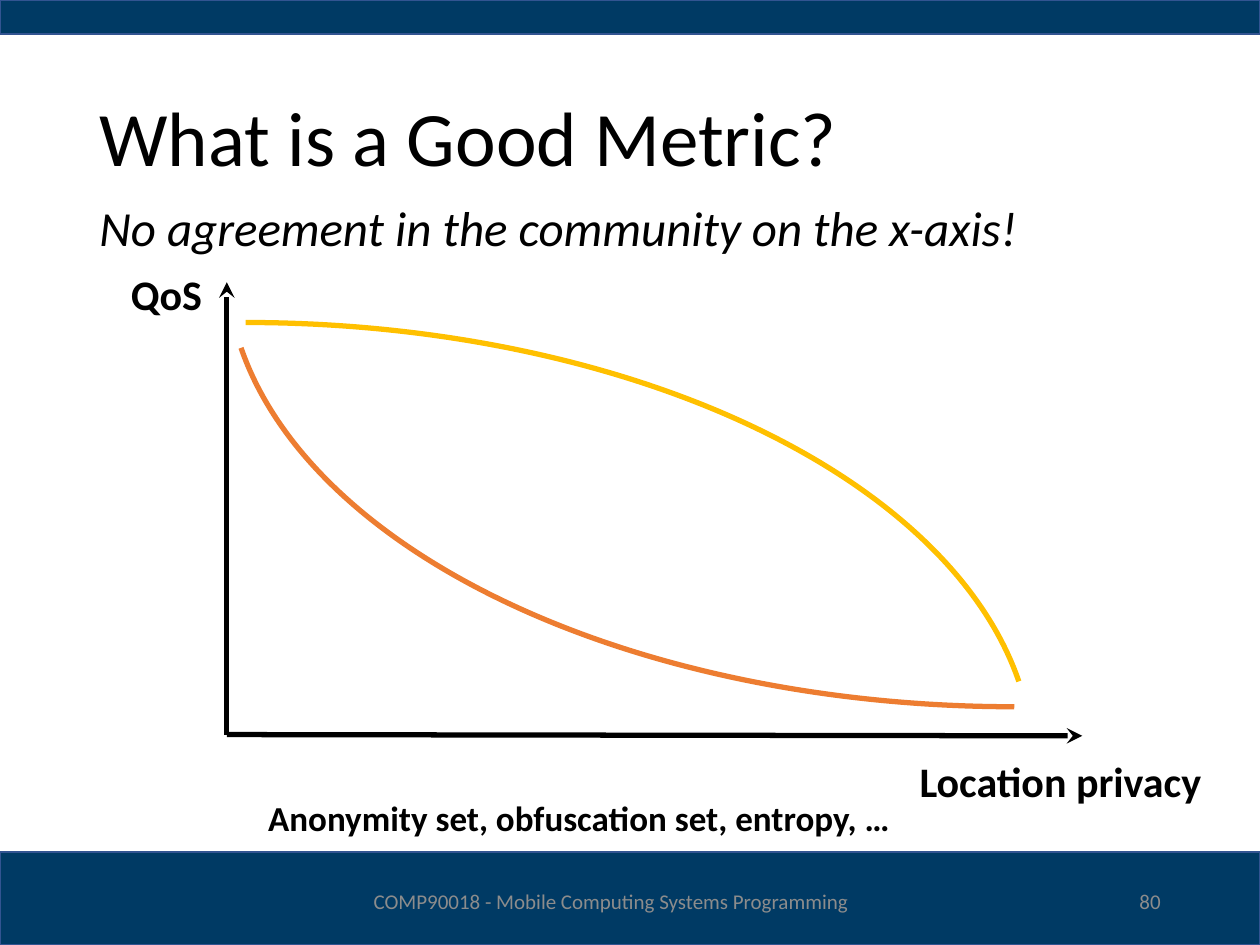
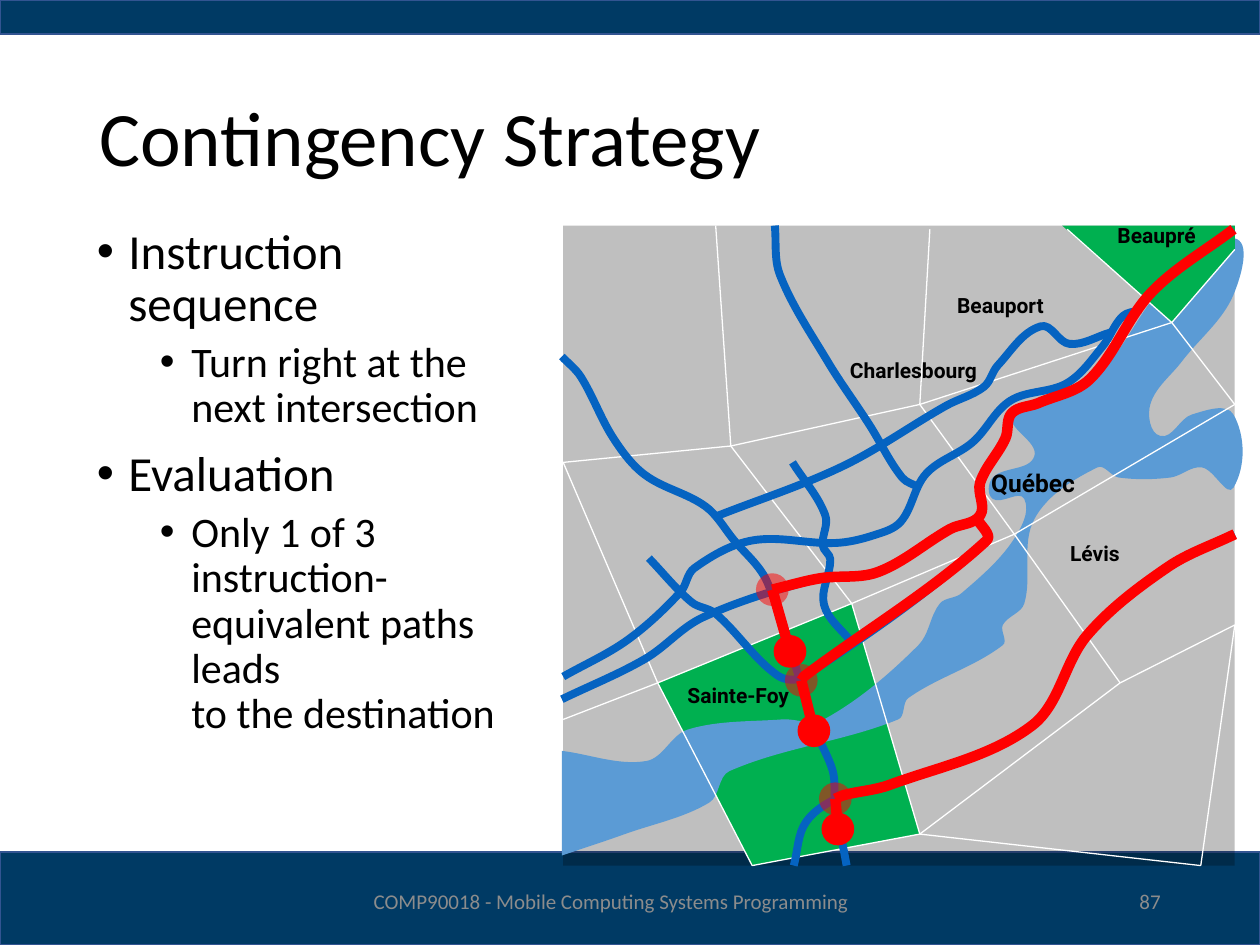
"""Build two lecture slides: a privacy trade-off plot and a road map."""
from dataclasses import dataclass
from math import dist

from lxml.etree import SubElement as Sub
from pptx import Presentation
from pptx.dml.color import RGBColor as RGB
from pptx.enum.shapes import MSO_CONNECTOR as Link, MSO_SHAPE as Kind
from pptx.enum.text import MSO_ANCHOR as Anchor, PP_ALIGN as Align
from pptx.oxml.ns import qn
from pptx.util import Inches, Pt


@dataclass(frozen=True)
class Theme:
    """Colours, fonts and type sizes."""
    navy: str = "003A64"
    edge: str = "325491"
    black: str = "000000"
    white: str = "FFFFFF"
    gray: str = "8C8C8C"
    gold: str = "FFC000"
    orange: str = "ED7D31"
    green: str = "00B050"
    water: str = "5B9BD5"
    road: str = "0563C1"
    red: str = "FF0000"
    font: str = "Calibri"
    map_font: str = "Roboto"
    title: int = 44
    body: int = 28
    sub: int = 24
    note: int = 20
    city: int = 14
    small: int = 12


T = Theme()
COURSE = "COMP90018 - Mobile Computing Systems Programming"

NODES = {
    "A": (8.05, 4.24), "B": (7.3, 3.21), "C": (5.22, 5.42), "D": (5.97, 6.87),
    "E": (6.76, 4.79), "F": (7.3, 6.62), "G": (9.53, 6.87), "H": (8.89, 5.42),
    "I": (5.8, 3.54), "J": (9.3, 2.56), "K": (4.47, 5.71), "L": (4.47, 3.67),
    "M": (9.8, 4.96), "N": (9.8, 3.21), "P": (5.68, 1.79), "Q": (7.38, 1.82),
    "R": (8.47, 1.82), "S": (9.8, 1.98),
}
EDGES = "AB DC CK LC CE EF FD FG GM AH FH HM EA AN EI LI IP IB BQ BJ JR JN JS"

RIVER = (
    (4.46, 6.79), (4.96, 6.62), (5.63, 6.37), (5.79, 6.12), (7.13, 5.71), (7.21, 5.54),
    (7.96, 5.12), (7.96, 4.96), (8.13, 4.79), (8.21, 4.12), (8.71, 3.71), (8.88, 3.79),
    (9.29, 3.79), (9.54, 3.71), (9.79, 3.87), (9.79, 3.29), (9.46, 3.29), (9.21, 3.46),
    (9.13, 3.21), (9.38, 2.87), (9.79, 2.34), (9.79, 1.89), (9.24, 2.27), (8.83, 2.84),
    (8.54, 3.12), (8.04, 3.29), (8.21, 3.62), (7.88, 3.79), (7.88, 3.96), (8.13, 3.96),
    (8.04, 4.29), (7.63, 4.71), (7.46, 4.79), (7.29, 5.12), (6.54, 5.71), (6.21, 5.71),
    (5.46, 5.79), (5.13, 6.04), (4.46, 5.96))
COAST = ((6.51, 4.59), (6.97, 4.54), (7.54, 4.2), (7.78, 4.09), (7.78, 3.83), (7.98, 3.48),
         (8.03, 3.28), (8.24, 3.2), (8.65, 3.01), (9.14, 2.32), (9.79, 1.82))
SOUTH = ((6.7, 6.31), (7.06, 6.23), (8.19, 5.76), (8.63, 5.04), (9.27, 4.5), (9.8, 4.24))
MID = ((6.38, 5.37), (7.83, 4.29), (7.75, 4.11))
ROADS = (
    ((4.46, 2.83), (4.61, 2.99), (4.87, 3.48), (5.12, 3.77), (5.6, 4.02), (5.82, 4.28),
     (6.09, 4.62), (6.47, 5.79), (6.61, 6.12), (6.63, 6.37), (6.72, 6.87)),
    ((6.3, 6.87), (6.4, 6.52)) + SOUTH,
    ((4.46, 5.55), (5.12, 5.23), (5.58, 4.9)) + COAST,
    ((5.68, 4.1), (6.69, 3.7), (7.51, 3.22), (7.81, 3.07), (7.92, 2.9), (8.26, 2.59),
     (8.49, 2.73), (8.81, 2.64)),
    ((6.15, 1.79), (6.19, 2.18), (6.57, 2.87), (6.9, 3.37), (7.16, 3.79), (7.3, 3.87)),
    ((5.15, 4.43), (5.49, 4.78), (5.68, 4.87), (6.17, 5.36)) + MID,
    ((4.47, 5.37), (4.98, 5.08), (5.4, 4.7), (5.51, 4.51), (5.97, 4.29), (6.63, 4.31),
     (6.93, 4.25), (7.15, 4.14), (7.35, 3.76), (7.72, 3.51), (8.02, 3.18), (8.47, 3.04),
     (8.75, 2.75), (8.91, 2.51), (9.05, 2.46)),
    ((6.29, 3.67), (6.55, 4.09), (6.53, 4.33), (6.59, 4.44), (6.54, 4.8), (6.76, 5.1)),
)
PLACES = {
    "Charlesbourg": (7.25, 2.94), "Beauport": (7.94, 2.42), "Sainte-Foy": (5.86, 5.52),
    "Lévis": (8.69, 4.39), "Québec": (8.2, 3.83), "Beaupré": (9.18, 1.87),
}
TRIPS = (((6.13, 4.68), (6.27, 5.17), COAST), ((6.36, 5.4), (6.46, 5.8), MID),
         ((6.63, 6.34), (6.65, 6.58), SOUTH))


def paint(shape, fill=None, line=None, width=1, alpha=100):
    """Set fill, outline and opacity, and drop the shadow."""
    shape.shadow.inherit = False
    if fill:
        shape.fill.solid()
        shape.fill.fore_color.rgb = RGB.from_string(fill)
        if alpha < 100:
            tint = shape._element.spPr.find(".//" + qn("a:srgbClr"))
            Sub(tint, qn("a:alpha"), val=str(alpha * 1000))
    else:
        shape.fill.background()
    if line:
        shape.line.color.rgb = RGB.from_string(line)
        shape.line.width = Pt(width)
    else:
        shape.line.fill.background()


def block(slide, kind, box, **look):
    """Add a painted preset shape."""
    shape = slide.shapes.add_shape(kind, *map(Inches, box))
    paint(shape, **look)
    return shape


def outline(slide, spots, close=False, **look):
    """Add a freeform through the given points."""
    first, *rest = [tuple(map(Inches, spot)) for spot in spots]
    pen = slide.shapes.build_freeform(*first)
    pen.add_line_segments(rest, close=close)
    shape = pen.convert_to_shape()
    paint(shape, **look)
    return shape


def handle(spot, back, ahead, reach):
    """Move a point along the direction from back to ahead."""
    span = dist(back, ahead)
    return tuple(s + (a - b) * reach / span for s, b, a in zip(spot, back, ahead))


def curve(slide, spots, **look):
    """Add a freeform that runs smoothly through the points."""
    full = [spots[0]]
    for pos, (here, goal) in enumerate(zip(spots, spots[1:])):
        back = spots[max(pos - 1, 0)]
        ahead = spots[min(pos + 2, len(spots) - 1)]
        reach = dist(here, goal) / 3
        full += [handle(here, back, goal, reach), handle(goal, here, ahead, -reach), goal]
    shape = outline(slide, full, **look)
    steps = list(shape._element.iter(qn("a:lnTo")))
    for trio in zip(*[iter(steps[:len(full) - 1])] * 3):
        bend = trio[0].makeelement(qn("a:cubicBezTo"))
        trio[0].addprevious(bend)
        for step in trio:
            bend.append(step[0])
            step.getparent().remove(step)


def stroke(slide, start, end, color, width, arrow=False):
    """Add a straight line, with an arrowhead if asked."""
    line = slide.shapes.add_connector(Link.STRAIGHT, *map(Inches, (*start, *end)))
    line.line.color.rgb = RGB.from_string(color)
    line.line.width = Pt(width)
    props = line._element.spPr
    if arrow:
        Sub(props.find(qn("a:ln")), qn("a:tailEnd"), type="stealth")
    Sub(props, qn("a:effectLst"))


def style(para, size, color=T.black, font=T.font, bold=False, slant=False):
    """Set the font of a paragraph."""
    face = para.font
    face.name, face.size, face.bold, face.italic = font, Pt(size), bold, slant
    face.color.rgb = RGB.from_string(color)


def label(slide, words, box, size, align=Align.LEFT, mid=False, tight=False, **look):
    """Add one paragraph of text and return it."""
    frame = slide.shapes.add_textbox(*map(Inches, box)).text_frame
    frame.word_wrap = not tight
    if mid:
        frame.vertical_anchor = Anchor.MIDDLE
    if tight:
        frame.margin_left = frame.margin_right = frame.margin_top = frame.margin_bottom = 0
    para = frame.paragraphs[0]
    para.text, para.alignment = words, align
    style(para, size, **look)
    return para


def bullets(slide, box, items):
    """Add a two-level bullet list."""
    frame = slide.shapes.add_textbox(*map(Inches, box)).text_frame
    frame.word_wrap = True
    for pos, (level, words) in enumerate(items):
        para = frame.add_paragraph() if pos else frame.paragraphs[0]
        para.text, para.level, para.line_spacing = words, level, 0.9
        para.space_before = Pt(5 if level else 10)
        props = para._p.get_or_add_pPr()
        props.set("marL", str(Inches(0.25 + 0.5 * level)))
        props.set("indent", str(Inches(-0.25)))
        Sub(props, qn("a:buFont"), typeface="Arial")
        Sub(props, qn("a:buChar"), char="•")
        style(para, T.sub if level else T.body)


def base(deck, title, number):
    """Add a slide with bands, title and footer."""
    slide = deck.slides.add_slide(deck.slide_layouts[6])
    for top, height in ((6.76, 0.74), (0, 0.27)):
        block(slide, Kind.RECTANGLE, (0, top, 10, height), fill=T.navy, line=T.edge)
    label(slide, title, (0.69, 0.4, 8.62, 1.45), T.title, mid=True).line_spacing = 0.9
    label(slide, COURSE, (2.63, 6.95, 4.44, 0.4), T.small, Align.CENTER, True, color=T.gray)
    label(slide, number, (7.06, 6.95, 2.25, 0.4), T.small, Align.RIGHT, True, color=T.gray)
    return slide


def metric(deck):
    """Build the trade-off plot slide."""
    slide = base(deck, "What is a Good Metric?", "80")
    lead = label(slide, "No agreement in the community on the x-axis!",
                 (0.69, 1.57, 8.92, 0.67), T.body, slant=True)
    lead.line_spacing, lead.space_before = 0.9, Pt(10)
    for tip in ((1.8, 2.24), (8.59, 5.84)):
        stroke(slide, (1.8, 5.83), tip, T.black, 3, arrow=True)
    for left, top, color, flip in ((-4.3, 2.56, T.gold, False), (1.8, -1.42, T.orange, True)):
        arc = block(slide, Kind.ARC, (left, top, 12.5, 7.03), line=color, width=3)
        arc.adjustments[0], arc.adjustments[1] = 162, 212.28
        if flip:
            for side in ("flipH", "flipV"):
                arc._element.spPr.xfrm.set(side, "1")
    for words, box, size in (
            ("QoS", (0.94, 2.08, 0.86, 0.5), T.sub),
            ("Anonymity set, obfuscation set, entropy, …", (2.03, 6.27, 6.48, 0.44), T.note),
            ("Location privacy", (7.2, 5.95, 2.57, 0.5), T.sub)):
        label(slide, words, box, size, bold=True)


def strategy(deck):
    """Build the road map slide."""
    slide = base(deck, "Contingency Strategy", "87")
    block(slide, Kind.RECTANGLE, (4.47, 1.79, 5.33, 5.08), fill=T.black, alpha=25)
    outline(slide, [NODES[key] for key in "CDFE"], close=True, fill=T.green)
    curve(slide, RIVER, close=True, fill=T.water)
    park = (NODES["J"], NODES["S"], (9.8, 1.79), (8.43, 1.79))
    outline(slide, park, close=True, fill=T.green)
    for start, end in EDGES.split():
        stroke(slide, NODES[start], NODES[end], T.white, 0.75)
    for road in ROADS:
        curve(slide, road, line=T.road, width=4.5)
    for name, (x, y) in PLACES.items():
        label(slide, name, (x - 0.6, y - 0.1, 1.2, 0.2), T.city if name == "Québec" else T.small,
              Align.CENTER, mid=True, tight=True, font=T.map_font, bold=True)
    for turn, stop, route in TRIPS:
        for way in ((turn, stop), (turn, *route)):
            curve(slide, way, line=T.red, width=6)
        for (x, y), alpha in ((turn, 50), (stop, 100)):
            block(slide, Kind.OVAL, (x - 0.13, y - 0.13, 0.26, 0.26), fill=T.red, alpha=alpha)
    bullets(slide, (0.67, 1.75, 3.7, 4.92), (
        (0, "Instruction sequence"),
        (1, "Turn right at the next intersection"),
        (0, "Evaluation"),
        (1, "Only 1 of 3 instruction-equivalent paths leads\nto the destination")))


def main():
    """Build and save the deck."""
    deck = Presentation()
    deck.slide_width, deck.slide_height = Inches(10), Inches(7.5)
    metric(deck)
    strategy(deck)
    deck.save("out.pptx")


if __name__ == "__main__":
    main()
